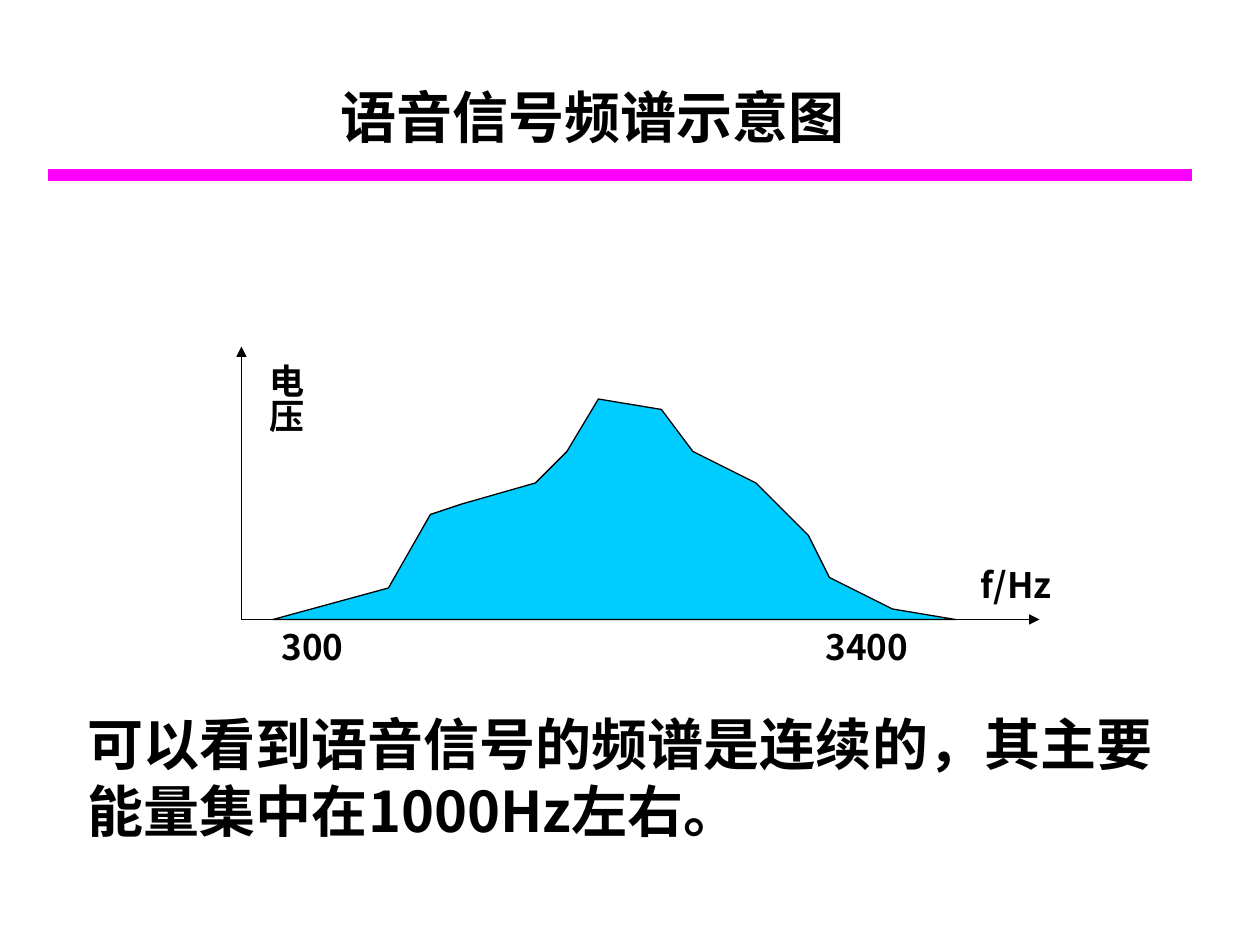
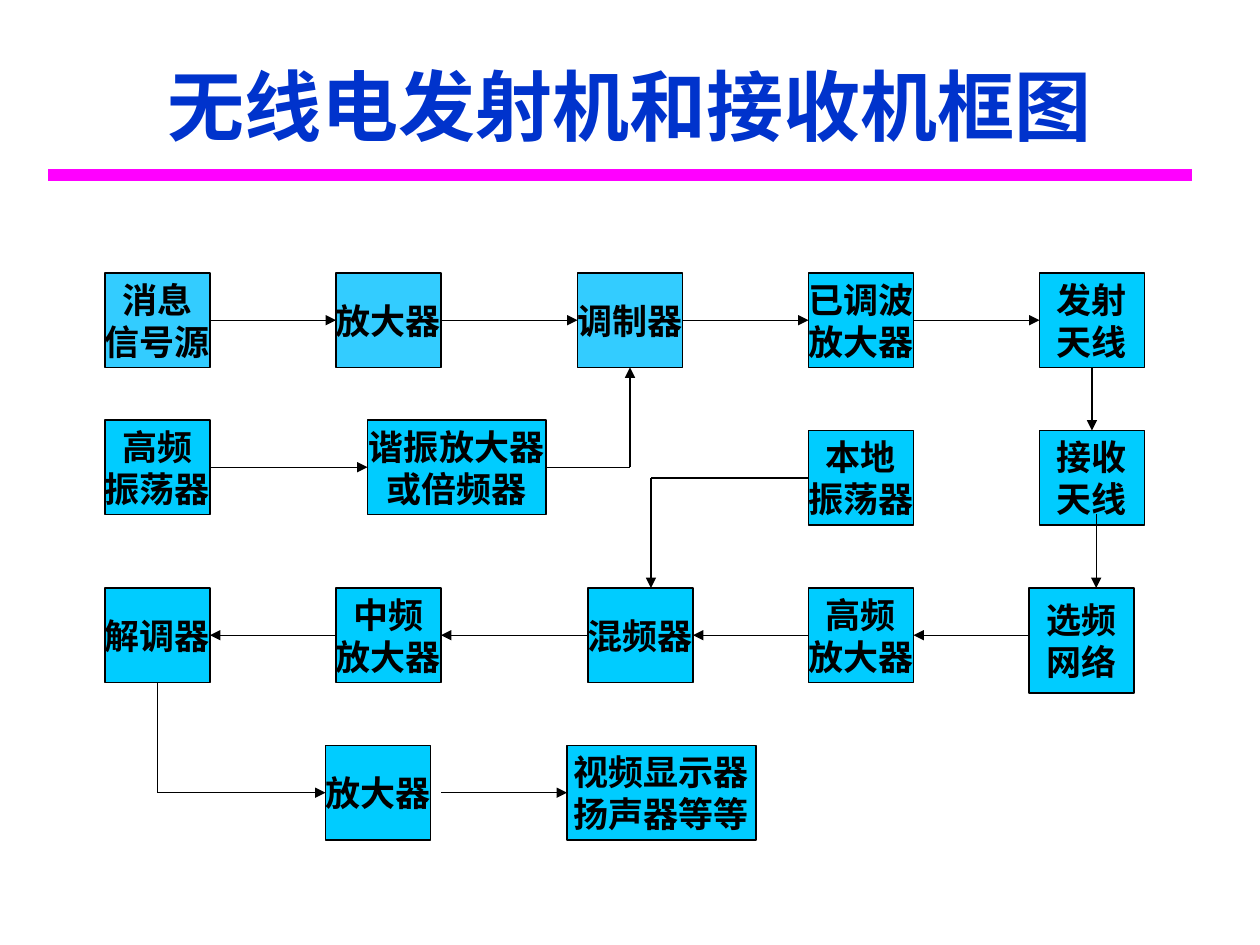
"""Build two slides on the speech spectrum and the radio transmitter and receiver."""
import dataclasses

import lxml.etree
import pptx
import pptx.dml.color
import pptx.enum.shapes
import pptx.enum.text
import pptx.oxml.ns
import pptx.util

Cm = pptx.util.Cm
Pt = pptx.util.Pt
ALIGN = pptx.enum.text.PP_ALIGN
ANCHOR = pptx.enum.text.MSO_ANCHOR
qn = pptx.oxml.ns.qn


@dataclasses.dataclass(frozen=True)
class Theme:
    black: str = "000000"
    title_blue: str = "0033CC"
    band: str = "FF00FF"
    cyan: str = "00CCFF"
    source_cyan: str = "33CCFF"
    cjk_font: str = "Noto Sans CJK SC"
    box_font: str = "Times New Roman"
    title_font: str = "Arial"
    title_size: float = 44
    body_size: float = 32
    label_size: float = 20
    thin: float = 0.75
    medium: float = 1
    thick: float = 7


theme = Theme()
rgb = pptx.dml.color.RGBColor.from_string
GRID = 2.54 / 12


def write(shape, text, size, font, colour=theme.black, align=ALIGN.CENTER,
          anchor=ANCHOR.MIDDLE, wrap=False):
    frame = shape.text_frame
    frame.text = text
    frame.word_wrap = wrap
    frame.vertical_anchor = anchor
    for paragraph in frame.paragraphs:
        paragraph.alignment = align
        for run in paragraph.runs:
            run.font.size = Pt(size)
            run.font.bold = True
            run.font.name = font
            run.font.color.rgb = rgb(colour)
            east_asian = lxml.etree.SubElement(run._r.get_or_add_rPr(), qn("a:ea"))
            east_asian.set("typeface", theme.cjk_font)


def draw_line(slide, begin, end, arrow=True, colour=theme.black, width=theme.thin):
    connector = slide.shapes.add_connector(
        pptx.enum.shapes.MSO_CONNECTOR.STRAIGHT, *[Cm(n * GRID) for n in begin + end])
    connector.line.color.rgb = rgb(colour)
    connector.line.width = Pt(width)
    if arrow:
        tail = lxml.etree.SubElement(connector.line._get_or_add_ln(), qn("a:tailEnd"))
        tail.set("type", "triangle")
    lxml.etree.SubElement(connector._element.spPr, qn("a:effectLst"))
    return connector


presentation = pptx.Presentation()
presentation.slide_width = Cm(25.4)
presentation.slide_height = Cm(19.05)
blank_layout = presentation.slide_layouts[6]
spectrum_slide = presentation.slides.add_slide(blank_layout)
diagram_slide = presentation.slides.add_slide(blank_layout)

band = draw_line(spectrum_slide, (4.58, 16.68), (113.5, 16.68), False, theme.band, theme.thick)
band._element.nvCxnSpPr.cNvPr.set("id", "20")
blank_layout.shapes._spTree.append(band._element)

origin = (23, 59)
for axis_end in [(99, 59), (23, 33)]:
    draw_line(spectrum_slide, origin, axis_end)

spectrum_points = [
    (91, 59), (85, 58), (79, 55), (77, 51), (72, 46), (66, 43), (63, 39),
    (57, 38), (54, 43), (51, 46), (44, 48), (41, 49), (37, 56),
]
builder = spectrum_slide.shapes.build_freeform(26, 59, scale=Cm(GRID))
builder.add_line_segments(spectrum_points, close=True)
spectrum = builder.convert_to_shape()
spectrum.shadow.inherit = False
spectrum.fill.solid()
spectrum.fill.fore_color.rgb = rgb(theme.cyan)
spectrum.line.color.rgb = rgb(theme.black)
spectrum.line.width = Pt(theme.thin)

body_style = {"size": theme.body_size, "align": ALIGN.LEFT, "anchor": ANCHOR.TOP}
label_style = {"size": theme.label_size}
spectrum_texts = [
    ("语音信号频谱示意图", (6.62, 1.54, 10.9, 1.63), body_style),
    ("可以看到语音信号的频谱是连续的，其主要\n能量集中在1000Hz左右。",
     (1.52, 14.17, 22.3, 2.97), body_style),
    ("f/Hz", (19.38, 11.23, 2.21, 1.12), label_style),
    ("300", (5.41, 12.48, 1.78, 1.12), label_style),
    ("3400", (16.37, 12.48, 2.21, 1.12), label_style),
    ("电压", (5.08, 7.09, 1.35, 1.68), label_style),
]
for text, place, style in spectrum_texts:
    text_box = spectrum_slide.shapes.add_textbox(*[Cm(n) for n in place])
    write(text_box, text, font=theme.cjk_font, **style)
    text_box.text_frame.auto_size = pptx.enum.text.MSO_AUTO_SIZE.SHAPE_TO_FIT_TEXT
    if text == "电压":
        frame = text_box.text_frame
        frame.margin_left = frame.margin_right = Cm(0.13)
        frame.margin_top = frame.margin_bottom = Cm(0.25)
        frame._txBody.bodyPr.set("vert", "eaVert")

title = diagram_slide.shapes.add_textbox(Cm(1.27), Cm(0.53), Cm(22.86), Cm(3.18))
write(title, "无线电发射机和接收机框图", theme.title_size, theme.title_font,
      theme.title_blue, wrap=True)

stages = [
    ("source", "消息\n信号源", 10, 26, 10, 9),
    ("amplifier", "放大器", 32, 26, 10, 9),
    ("modulator", "调制器", 55, 26, 10, 9),
    ("modulated amplifier", "已调波\n放大器", 77, 26, 10, 9),
    ("transmit antenna", "发射\n天线", 99, 26, 10, 9),
    ("oscillator", "高频\n振荡器", 10, 40, 10, 9),
    ("multiplier", "谐振放大器\n或倍频器", 35, 40, 17, 9),
    ("local oscillator", "本地\n振荡器", 77, 41, 10, 9),
    ("receive antenna", "接收\n天线", 99, 41, 10, 9),
    ("demodulator", "解调器", 10, 56, 10, 9),
    ("middle amplifier", "中频\n放大器", 32, 56, 10, 9),
    ("mixer", "混频器", 56, 56, 10, 9),
    ("high amplifier", "高频\n放大器", 77, 56, 10, 9),
    ("selector", "选频\n网络", 98, 56, 10, 10),
    ("output amplifier", "放大器", 31, 71, 10, 9),
    ("output", "视频显示器\n扬声器等等", 54, 71, 18, 9),
]
boxes = {}
for name, text, *place in stages:
    box = diagram_slide.shapes.add_shape(
        pptx.enum.shapes.MSO_SHAPE.RECTANGLE, *[Cm(n * GRID) for n in place])
    box.shadow.inherit = False
    box.fill.solid()
    in_source_part = name in ("source", "amplifier", "modulator")
    box.fill.fore_color.rgb = rgb(theme.source_cyan if in_source_part else theme.cyan)
    box.line.color.rgb = rgb(theme.black)
    box.line.width = Pt(theme.medium if name == "selector" else theme.thin)
    write(box, text, theme.label_size, theme.box_font)
    boxes[name] = box

TOP, LEFT, BOTTOM, RIGHT = range(4)
links = [
    (("source", RIGHT), ("amplifier", LEFT), True),
    (("amplifier", RIGHT), ("modulator", LEFT), True),
    (("modulator", RIGHT), ("modulated amplifier", LEFT), True),
    (("modulated amplifier", RIGHT), ("transmit antenna", LEFT), True),
    (("transmit antenna", BOTTOM), ("receive antenna", TOP), True),
    (("oscillator", RIGHT), ("multiplier", LEFT), True),
    (("multiplier", RIGHT), (60, 44.5), False),
    ((60, 44.5), ("modulator", BOTTOM), True),
    (("local oscillator", LEFT), (62, 45.5), False),
    ((62, 45.5), (62, 56), True),
    ((104.4, 49), (104.4, 56), True),
    ((98, 60.5), ("high amplifier", RIGHT), True),
    (("high amplifier", LEFT), ("mixer", RIGHT), True),
    (("mixer", LEFT), ("middle amplifier", RIGHT), True),
    (("middle amplifier", LEFT), ("demodulator", RIGHT), True),
    (("demodulator", BOTTOM), (15, 75.5), False),
    ((15, 75.5), ("output amplifier", LEFT), True),
    ((42, 75.5), ("output", LEFT), True),
]
for begin, end, arrow in links:
    begin_joined, end_joined = begin[0] in boxes, end[0] in boxes
    width = theme.medium if begin[0] == "local oscillator" else theme.thin
    connector = draw_line(diagram_slide, (0, 0) if begin_joined else begin,
                          (0, 0) if end_joined else end, arrow, width=width)
    if begin_joined:
        connector.begin_connect(boxes[begin[0]], begin[1])
    if end_joined:
        connector.end_connect(boxes[end[0]], end[1])

presentation.save("out.pptx")
